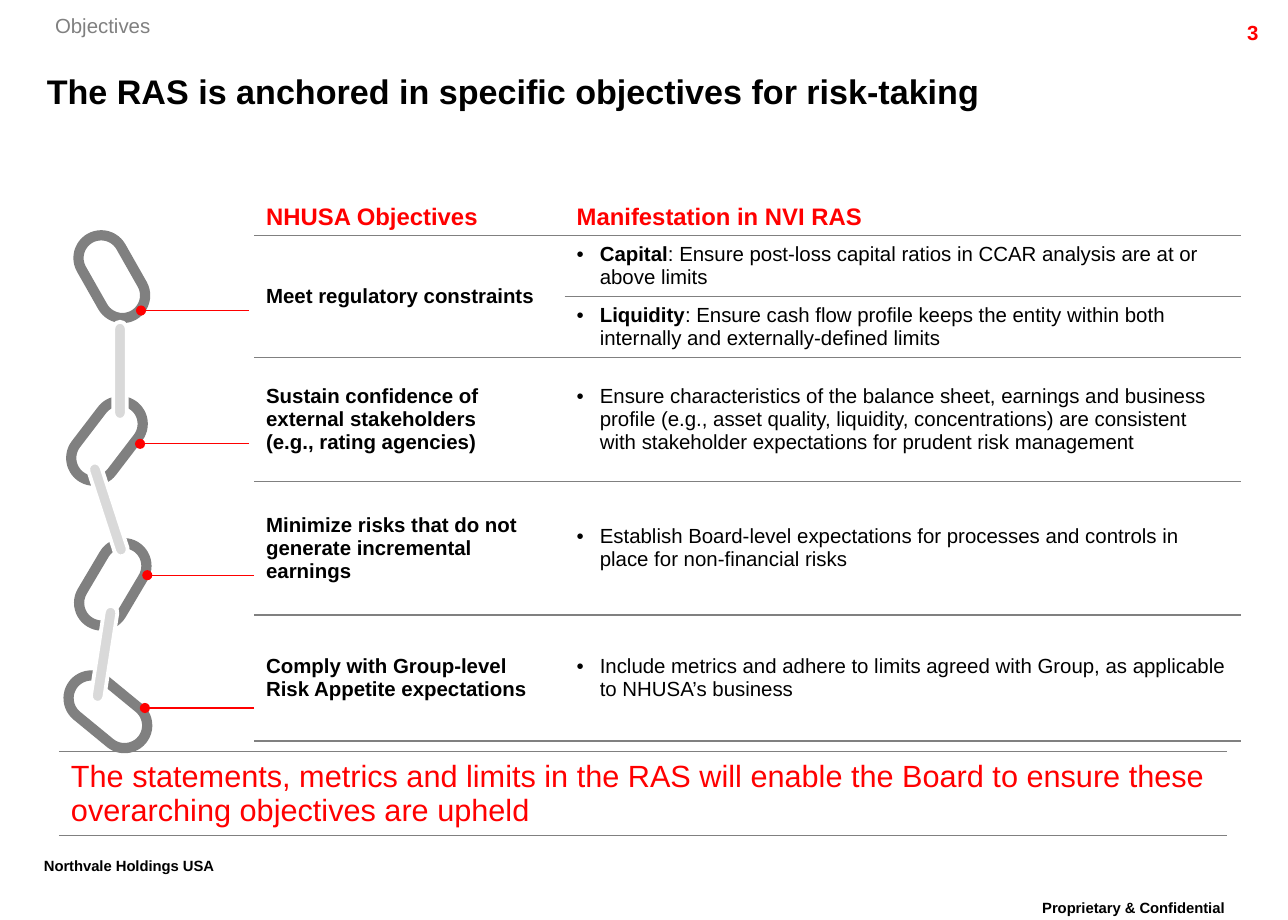
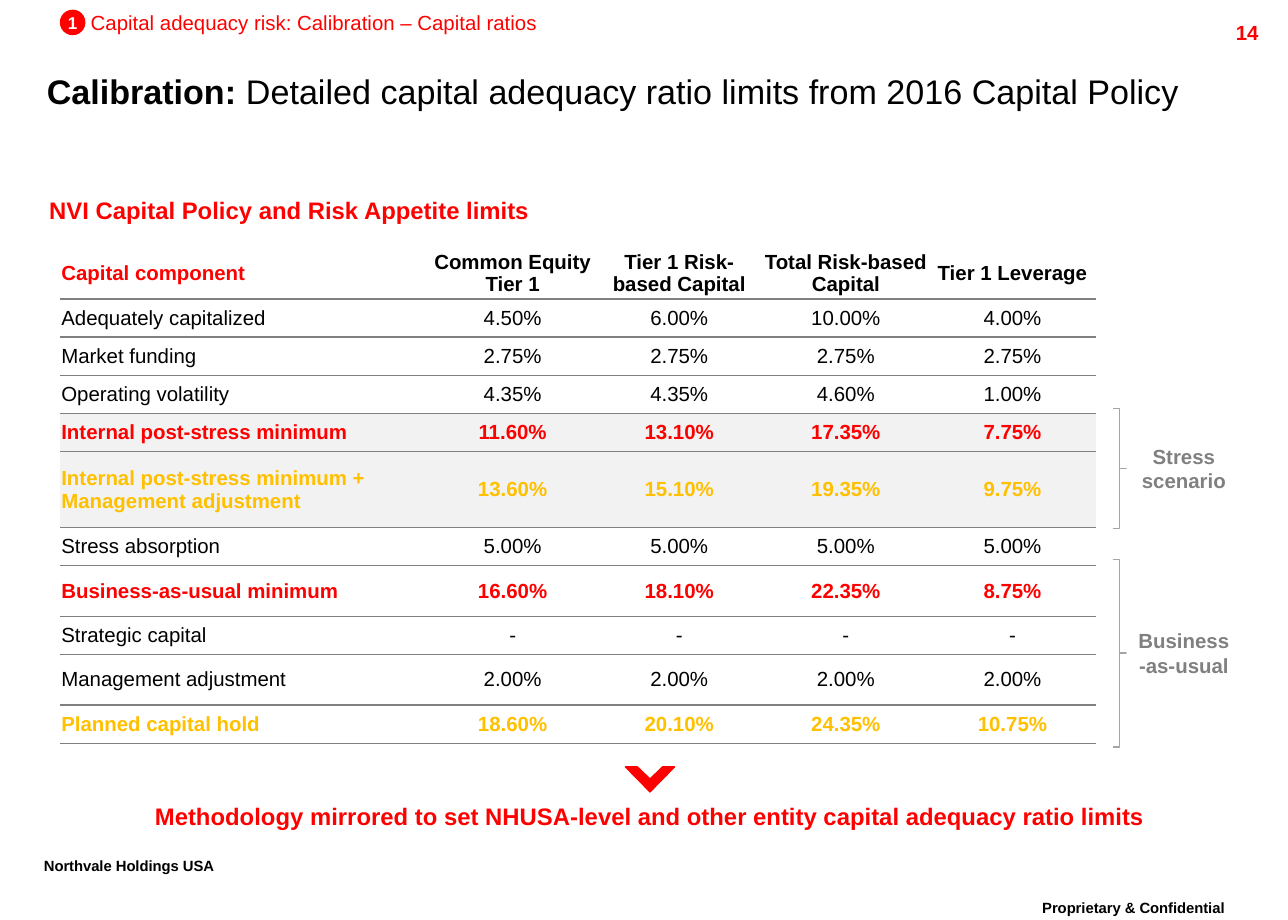
from lxml.etree import SubElement
from pptx import Presentation
from pptx.dml.color import RGBColor
from pptx.enum.shapes import MSO_CONNECTOR as Line, MSO_SHAPE as Preset
from pptx.enum.text import MSO_ANCHOR as Anchor, PP_ALIGN as Align
from pptx.oxml.ns import qn
from pptx.util import Cm, Pt

FONT = "Arial"
BLACK, WHITE, RED, AMBER = "000000", "FFFFFF", "FF0000", "FFC000"
GRAY, SILVER, LIGHT, SHADE = "808080", "A5A5A5", "D9D9D9", "F2F2F2"

BODY = {"size": Pt(12), "bold": False}
STRONG = {"size": Pt(12), "bold": True}
HEADING = {"size": Pt(14), "bold": True}
TITLE = {"size": Pt(20), "bold": True}
TITLE_LIGHT = {"size": Pt(20), "bold": False}
FOOTER = {"size": Pt(15), "bold": True}
BANNER = {"size": Pt(18), "bold": False}
BADGE = {"size": Pt(10), "bold": True}

OBJECTIVES = [
    ("Meet regulatory constraints", "Capital",
     ": Ensure post-loss capital ratios in CCAR analysis are at or above limits"),
    ("", "Liquidity",
     ": Ensure cash flow profile keeps the entity within both internally and "
     "externally-defined limits"),
    ("Sustain confidence of external stakeholders\n(e.g., rating agencies)", "",
     "Ensure characteristics of the balance sheet, earnings and business profile "
     "(e.g., asset quality, liquidity, concentrations) are consistent with "
     "stakeholder expectations for prudent risk management"),
    ("Minimize risks that do not generate incremental earnings", "",
     "Establish Board-level expectations for processes and controls in place "
     "for non-financial risks"),
    ("Comply with Group-level Risk Appetite expectations", "",
     "Include metrics and adhere to limits agreed with Group, as applicable "
     "to NHUSA’s business"),
]
OBJECTIVE_ROWS = [0.79, 1.25, 1.26, 2.57, 2.77, 2.61]

RATIO_HEADS = ["Capital component", "Common Equity Tier 1", "Tier 1 Risk-based Capital",
               "Total Risk-based Capital", "Tier 1 Leverage"]
RATIOS = [
    ("Adequately capitalized", "4.50%", "6.00%", "10.00%", "4.00%"),
    ("Market funding", "2.75%", "2.75%", "2.75%", "2.75%"),
    ("Operating volatility", "4.35%", "4.35%", "4.60%", "1.00%"),
    ("Internal post-stress minimum", "11.60%", "13.10%", "17.35%", "7.75%"),
    ("Internal post-stress minimum + Management adjustment",
     "13.60%", "15.10%", "19.35%", "9.75%"),
    ("Stress absorption", "5.00%", "5.00%", "5.00%", "5.00%"),
    ("Business-as-usual minimum", "16.60%", "18.10%", "22.35%", "8.75%"),
    ("Strategic capital", "-", "-", "-", "-"),
    ("Management adjustment", "2.00%", "2.00%", "2.00%", "2.00%"),
    ("Planned capital hold", "18.60%", "20.10%", "24.35%", "10.75%"),
]
RATIO_ROWS = [1.06, 0.79, 0.79, 0.79, 0.79, 1.57, 0.79, 1.05, 0.79, 1.05, 0.79]
RATIO_COLORS = {4: RED, 5: AMBER, 7: RED, 10: AMBER}
SHADED_ROWS = (4, 5)


def color(value):
    return RGBColor.from_string(value)


def apply(target, values):
    for name, value in values.items():
        setattr(target, name, value)


def margins(x, y):
    return {"margin_left": Cm(x), "margin_right": Cm(x),
            "margin_top": Cm(y), "margin_bottom": Cm(y)}


def add_span(para, text, style, tint):
    for number, line in enumerate(text.split("\n")):
        if number:
            para.add_line_break()
        span = para.add_run()
        span.text = line
        apply(span.font, {"name": FONT, **style})
        span.font.color.rgb = color(tint)
    return span


def add_text(page, at, text, style, tint=BLACK, align=Align.LEFT,
             inset=(0, 0), anchor=Anchor.TOP, wrap=True):
    box = page.shapes.add_textbox(*map(Cm, at))
    frame = box.text_frame
    apply(frame, {"word_wrap": wrap, "vertical_anchor": anchor, **margins(*inset)})
    para = frame.paragraphs[0]
    para.alignment = align
    add_span(para, text, style, tint)
    return para


def add_bullet(para):
    props = para._p.get_or_add_pPr()
    apply_xml = {"marL": Cm(0.48), "indent": -Cm(0.48)}
    for name, value in apply_xml.items():
        props.set(name, str(int(value)))
    SubElement(props, qn("a:buFont"), typeface=FONT)
    SubElement(props, qn("a:buChar"), char="•")


def add_shape(page, preset, at, fill=None, line=None, width=0.75, turn=0, adjust=()):
    shape = page.shapes.add_shape(preset, *map(Cm, at))
    shape.rotation = turn
    for number, value in enumerate(adjust):
        shape.adjustments[number] = value
    paint(shape, fill, line, width)
    return shape


def paint(shape, fill, line, width):
    shape.shadow.inherit = False
    if fill:
        shape.fill.solid()
        shape.fill.fore_color.rgb = color(fill)
    else:
        shape.fill.background()
    if line:
        shape.line.color.rgb = color(line)
        shape.line.width = Pt(width)
    else:
        shape.line.fill.background()


def add_leader(page, start, end, y):
    leader = page.shapes.add_connector(Line.STRAIGHT, Cm(start), Cm(y), Cm(end), Cm(y))
    leader.line.color.rgb = color(RED)
    leader.line.width = Pt(0.75)
    SubElement(leader.line._get_or_add_ln(), qn("a:tailEnd"), type="oval")
    SubElement(leader._element.spPr, qn("a:effectLst"))


def add_borders(cell, sides, width):
    props = cell._tc.get_or_add_tcPr()
    for side in "LRTB":
        edge = SubElement(props, qn("a:ln" + side), w=str(int(Pt(width))))
        if side in sides:
            fill = SubElement(edge, qn("a:solidFill"))
            SubElement(fill, qn("a:srgbClr"), val=GRAY)
        else:
            SubElement(edge, qn("a:noFill"))


def add_grid(page, left, top, columns, rows, inset, width=0.75, top_line=False, shaded=()):
    frame = page.shapes.add_table(len(rows), len(columns), Cm(left), Cm(top),
                                  Cm(sum(columns)), Cm(sum(rows)))
    grid = frame.table
    apply(grid, {"first_row": False, "horz_banding": False})
    for column, size in zip(grid.columns, columns):
        column.width = Cm(size)
    for number, (row, size) in enumerate(zip(grid.rows, rows)):
        row.height = Cm(size)
        for cell in row.cells:
            apply(cell, {"vertical_anchor": Anchor.MIDDLE, **margins(*inset)})
            add_borders(cell, "TB" if number or top_line else "B", width)
            if number in shaded:
                cell.fill.solid()
                cell.fill.fore_color.rgb = color(SHADE)
            else:
                cell.fill.background()
    return grid


def fill_cell(cell, text, style, tint=BLACK, align=Align.LEFT):
    para = cell.text_frame.paragraphs[0]
    para.alignment = align
    add_span(para, text, style, tint)


def add_page(deck, number, title, detail=""):
    page = deck.slides.add_slide(deck.slide_layouts[6])
    edge = (0.25, 0.13)
    footers = [
        ((20.7, 18.42, 5.54, 0.89), "Proprietary & Confidential", Align.CENTER),
        ((0.66, 17.55, 4.85, 0.89), "Northvale Holdings USA", Align.LEFT),
    ]
    for at, text, align in footers:
        para = add_text(page, at, text, FOOTER, align=align, inset=edge)
        para.runs[0].font._element.set("baseline", "30000")
    add_text(page, (23.77, 0.28, 2.54, 0.61), str(number), STRONG, RED, Align.RIGHT, edge)
    para = add_text(page, (0.97, 1.27, 24.08, 1.22), title, TITLE, anchor=Anchor.MIDDLE)
    if detail:
        add_span(para, detail, TITLE_LIGHT, BLACK)
    return page


def add_chain(page):
    dark_links = [(1.4, 5.26, 60.4), (1.3, 8.66, 127.4),
                  (1.42, 11.63, 120.7), (1.32, 14.27, 39.4)]
    for left, top, turn in dark_links:
        add_shape(page, Preset.ROUNDED_RECTANGLE, (left, top, 1.83, 0.94),
                  None, GRAY, 6, turn, [0.5])
    light_links = [(1.14, 13.41, 98.8), (1.22, 10.41, 72), (1.47, 7.54, 90)]
    for left, top, turn in light_links:
        add_shape(page, Preset.ROUNDED_RECTANGLE, (left, top, 2.03, 0.28),
                  LIGHT, WHITE, 2.25, turn, [0.5])
    leaders = [(5.16, 2.92, 6.43), (5.16, 2.9, 9.19),
               (5.26, 3.05, 11.91), (5.26, 3, 14.66)]
    for start, end, y in leaders:
        add_leader(page, start, end, y)


def add_objectives(deck):
    page = add_page(deck, 3, "The RAS is anchored in specific objectives for risk-taking")
    add_text(page, (1.14, 0.28, 2, 0.51), "Objectives", BODY, GRAY, wrap=False)
    add_chain(page)
    grid = add_grid(page, 5.26, 4.09, [6.43, 14], OBJECTIVE_ROWS, (0.25, 0.1))
    for column, text in enumerate(["NHUSA Objectives", "Manifestation in NVI RAS"]):
        fill_cell(grid.cell(0, column), text, HEADING, RED)
    grid.cell(1, 0).merge(grid.cell(2, 0))
    for row, (objective, lead, detail) in enumerate(OBJECTIVES, 1):
        if objective:
            fill_cell(grid.cell(row, 0), objective, STRONG)
        para = grid.cell(row, 1).text_frame.paragraphs[0]
        add_bullet(para)
        if lead:
            add_span(para, lead, STRONG, BLACK)
        add_span(para, detail, BODY, BLACK)
    banner = add_grid(page, 1.22, 15.57, [24.18], [1.68], (0.25, 0.1), top_line=True)
    fill_cell(banner.cell(0, 0), "The statements, metrics and limits in the RAS will enable "
              "the Board to ensure these overarching objectives are upheld", BANNER, RED)


def add_ratio_table(page):
    grid = add_grid(page, 1.24, 5.13, [7.65] + [3.45] * 4, RATIO_ROWS, (0.03, 0.01),
                    1, shaded=SHADED_ROWS)
    for row, values in enumerate([RATIO_HEADS] + RATIOS):
        for column, text in enumerate(values):
            tint = RATIO_COLORS.get(row, BLACK)
            if row == column == 0:
                tint = RED
            style = STRONG if row == 0 or row in RATIO_COLORS else BODY
            align = Align.CENTER if column else Align.LEFT
            fill_cell(grid.cell(row, column), text, style, tint, align)


def add_scenario(page, text, top, height):
    add_shape(page, Preset.RIGHT_BRACE, (23.04, top, 0.28, height),
              line=SILVER, adjust=[0, 0.5])
    add_text(page, (23.37, top + height / 2 - 0.64, 2.29, 1.27), text, STRONG, GRAY,
             Align.CENTER, (0.2, 0.2), Anchor.MIDDLE)


def add_chevron(page):
    points = [(13.97, 15.88), (13.72, 15.88), (13.46, 16.13),
              (13.2, 15.88), (12.95, 15.88), (13.46, 16.4)]
    corners = [(Cm(x), Cm(y)) for x, y in points]
    outline = page.shapes.build_freeform(*corners[0])
    outline.add_line_segments(corners[1:], close=True)
    paint(outline.convert_to_shape(), RED, RED, 0.75)


def add_calibration(deck):
    page = add_page(deck, 14, "Calibration: ",
                    "Detailed capital adequacy ratio limits from 2016 Capital Policy")
    badge = add_shape(page, Preset.OVAL, (1.24, 0.2, 0.53, 0.53), RED)
    frame = badge.text_frame
    apply(frame, {"word_wrap": False, "vertical_anchor": Anchor.MIDDLE, **margins(0, 0)})
    frame.paragraphs[0].alignment = Align.CENTER
    add_span(frame.paragraphs[0], "1", BADGE, WHITE)
    add_text(page, (1.88, 0.2, 9.3, 0.51),
             "Capital adequacy risk: Calibration – Capital ratios", BODY, RED, wrap=False)
    add_text(page, (1.02, 4.06, 11.53, 0.61), "NVI Capital Policy and Risk Appetite limits",
             HEADING, RED)
    add_ratio_table(page)
    add_scenario(page, "Stress scenario", 8.46, 2.49)
    add_scenario(page, "Business-as-usual", 11.58, 3.89)
    add_chevron(page)
    add_text(page, (1.27, 16.61, 24.38, 0.61),
             "Methodology mirrored to set NHUSA-level and other entity capital adequacy "
             "ratio limits", HEADING, RED, Align.CENTER)


def main():
    deck = Presentation()
    apply(deck, {"slide_width": Cm(26.67), "slide_height": Cm(19.05)})
    add_objectives(deck)
    add_calibration(deck)
    deck.save("out.pptx")


if __name__ == "__main__":
    main()
